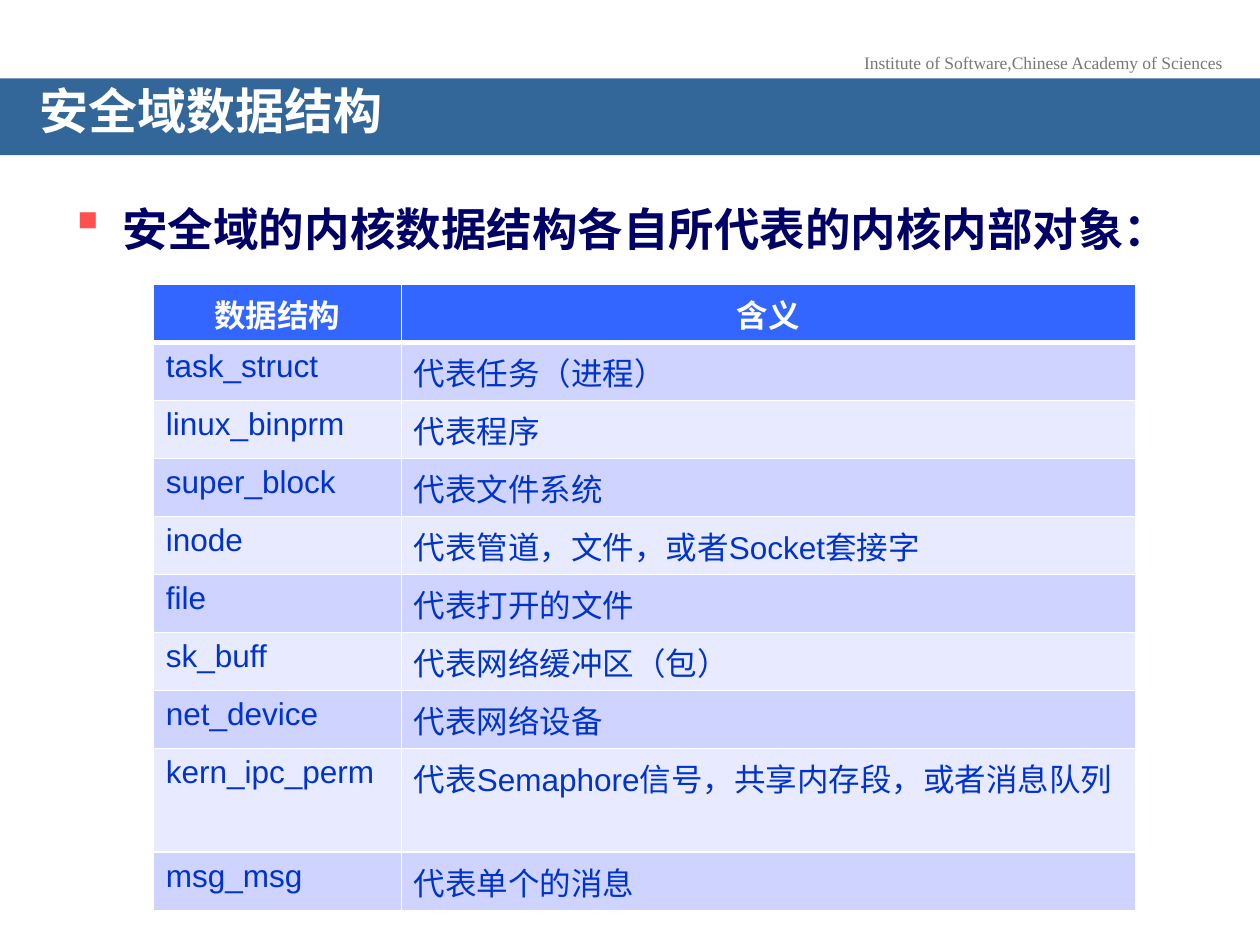
import pptx
import pptx.enum.shapes
import pptx.enum.text
import pptx.oxml
import pptx.oxml.ns
import pptx.util
from pptx.dml.color import RGBColor
from pptx.util import Cm

WHITE = RGBColor(0xFF, 0xFF, 0xFF)
GRAY = RGBColor(0x77, 0x77, 0x77)
TITLE_BLUE = RGBColor(0x33, 0x66, 0x99)
NAVY = RGBColor(0x00, 0x00, 0x66)
BULLET_RED = RGBColor(0xFF, 0x50, 0x50)
HEADER_BLUE = RGBColor(0x33, 0x66, 0xFF)
CELL_BLUE = RGBColor(0x00, 0x33, 0xCC)
BANDS = (RGBColor(0xCE, 0xD3, 0xFF), RGBColor(0xE8, 0xEA, 0xFF))

NAMESPACE = pptx.oxml.ns.nsdecls("a")
COLUMN_WIDTHS = (Cm(5), Cm(14.8))
ROW_HEIGHT = Cm(1.17)
TWO_LINE_HEIGHT = Cm(2.09)
TWO_LINE_ROW = "kern_ipc_perm"
ROWS = (
    ("数据结构", "含义"),
    ("task_struct", "代表任务（进程）"),
    ("linux_binprm", "代表程序"),
    ("super_block", "代表文件系统"),
    ("inode", "代表管道，文件，或者Socket套接字"),
    ("file", "代表打开的文件"),
    ("sk_buff", "代表网络缓冲区（包）"),
    ("net_device", "代表网络设备"),
    (TWO_LINE_ROW, "代表Semaphore信号，共享内存段，或者消息队列"),
    ("msg_msg", "代表单个的消息"),
)


def write(text_frame, text, font_name, size, color, bold=False):
    text_frame.text = text
    paragraph = text_frame.paragraphs[0]
    font = paragraph.runs[0].font
    font.name = font_name
    font.size = pptx.util.Pt(size)
    font.bold = bold
    font.color.rgb = color
    return paragraph


def add_element(parent, tag, attributes="", content=""):
    parent.append(pptx.oxml.parse_xml(
        f"<a:{tag} {NAMESPACE} {attributes}>{content}</a:{tag}>"))


def add_affiliation(slide):
    box = slide.shapes.add_textbox(Cm(17.17), Cm(0.93), Cm(7.87), Cm(0.69))
    box.text_frame.word_wrap = False
    write(box.text_frame, "Institute of Software,Chinese Academy of Sciences",
          "Times New Roman", 10, GRAY)


def add_title_bar(slide):
    bar = slide.shapes.add_shape(pptx.enum.shapes.MSO_SHAPE.RECTANGLE,
                                 0, Cm(1.58), Cm(25.4), Cm(1.55))
    bar.shadow.inherit = False
    bar.fill.solid()
    bar.fill.fore_color.rgb = TITLE_BLUE
    bar.line.fill.background()
    text_frame = bar.text_frame
    text_frame.margin_left = text_frame.margin_right = Cm(0.8)
    text_frame.vertical_anchor = pptx.enum.text.MSO_ANCHOR.MIDDLE
    paragraph = write(text_frame, "安全域数据结构", "Arial Narrow", 28, WHITE, True)
    paragraph.alignment = pptx.enum.text.PP_ALIGN.LEFT
    paragraph.line_spacing = 0.7


def add_bullet_text(slide):
    box = slide.shapes.add_textbox(Cm(1.27), Cm(3.92), Cm(22.89), Cm(12.8))
    box.text_frame.word_wrap = True
    paragraph = write(box.text_frame, "安全域的内核数据结构各自所代表的内核内部对象：",
                      "Arial", 26, NAVY, True)
    properties = paragraph._p.get_or_add_pPr()
    properties.set("marL", str(Cm(0.95)))
    properties.set("indent", str(-Cm(0.95)))
    add_element(properties, "buClr", content=f'<a:srgbClr val="{BULLET_RED}"/>')
    add_element(properties, "buSzPct", 'val="120000"')
    # This character is a small square in Wingdings
    add_element(properties, "buFont", 'typeface="Wingdings" charset="2"')
    add_element(properties, "buChar", 'char="§"')


def style_cell(cell, fill_color, bottom_width):
    # Borders come before the fill in the cell properties
    properties = cell._tc.get_or_add_tcPr()
    for side, points in (("L", 1), ("R", 1), ("T", 1), ("B", bottom_width)):
        add_element(properties, f"ln{side}", f'w="{pptx.util.Pt(points)}"',
                    f'<a:solidFill><a:srgbClr val="{WHITE}"/></a:solidFill>')
    cell.fill.solid()
    cell.fill.fore_color.rgb = fill_color


def add_structure_table(slide):
    heights = [TWO_LINE_HEIGHT if name == TWO_LINE_ROW else ROW_HEIGHT
               for name, meaning in ROWS]
    table = slide.shapes.add_table(len(ROWS), len(COLUMN_WIDTHS), Cm(3.09), Cm(5.73),
                                   sum(COLUMN_WIDTHS), sum(heights)).table
    for column, width in zip(table.columns, COLUMN_WIDTHS):
        column.width = width
    for row_index, texts in enumerate(ROWS):
        table.rows[row_index].height = heights[row_index]
        is_header = row_index == 0
        fill_color = HEADER_BLUE if is_header else BANDS[(row_index - 1) % 2]
        for column_index, text in enumerate(texts):
            cell = table.cell(row_index, column_index)
            style_cell(cell, fill_color, 3 if is_header else 1)
            paragraph = write(cell.text_frame, text, "Arial", 18,
                              WHITE if is_header else CELL_BLUE, is_header)
            if is_header:
                paragraph.alignment = pptx.enum.text.PP_ALIGN.CENTER


def main():
    presentation = pptx.Presentation()
    presentation.slide_width = Cm(25.4)
    presentation.slide_height = Cm(19.05)
    slide = presentation.slides.add_slide(presentation.slide_layouts[6])

    # Heading
    add_affiliation(slide)
    add_title_bar(slide)

    # Content
    add_bullet_text(slide)
    add_structure_table(slide)

    presentation.save("out.pptx")


if __name__ == "__main__":
    main()
